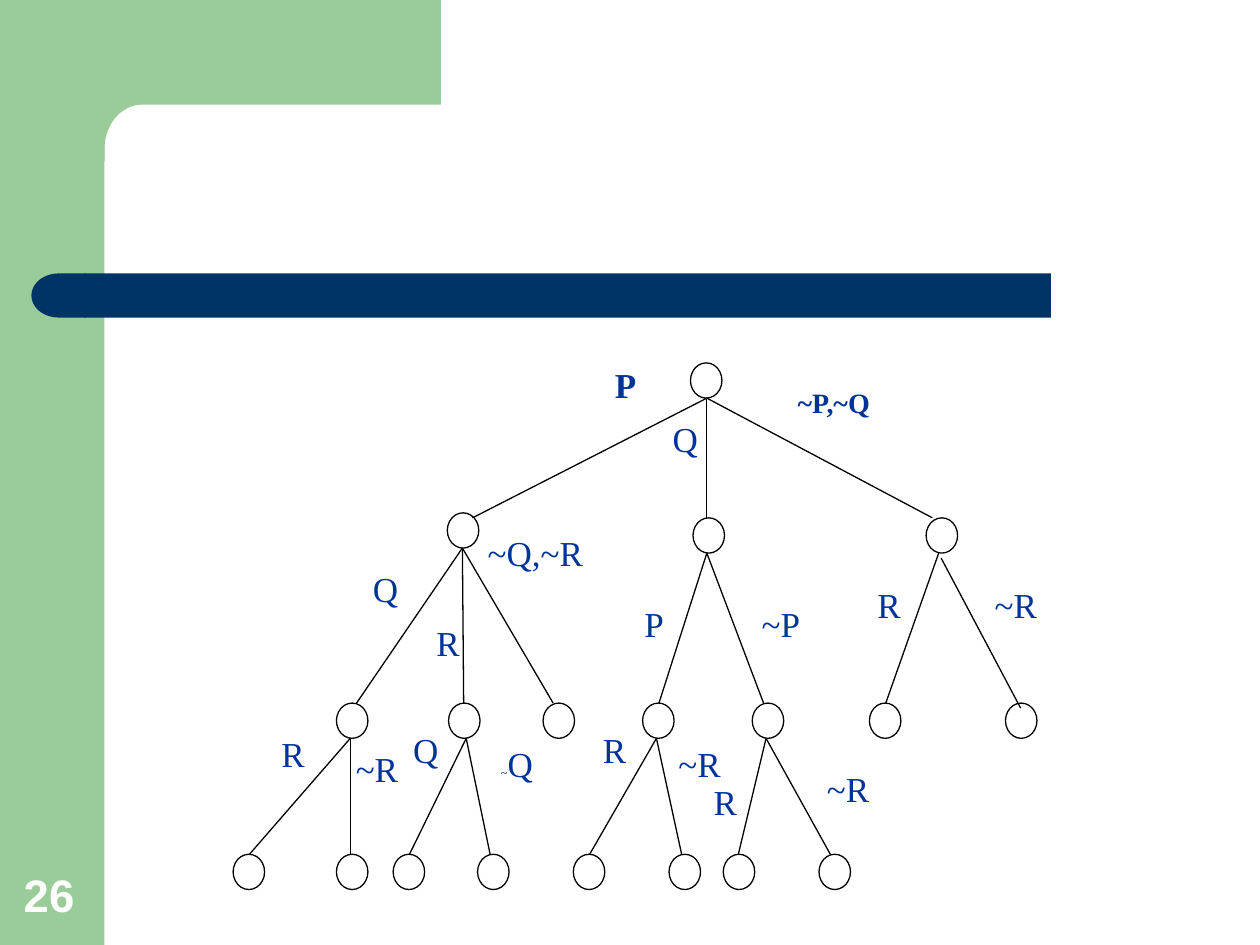
import math
from dataclasses import dataclass

from lxml import etree
from pptx import Presentation
from pptx.dml.color import RGBColor
from pptx.enum import shapes, text
from pptx.oxml import ns
from pptx.util import Inches, Pt


@dataclass(frozen=True)
class Theme:
    green: str = "99CC99"
    navy: str = "003366"
    label: str = "003399"
    white: str = "FFFFFF"
    black: str = "000000"
    sans: str = "Arial"
    serif: str = "Times New Roman"
    number: int = 26
    large: int = 20
    medium: int = 16
    tiny: int = 7
    stroke: float = 0.75


@dataclass(frozen=True)
class Box:
    left: float
    top: float
    width: float
    height: float

    def inset(self, column, row, columns, rows):
        return Box(self.left + column, self.top + row, columns, rows)

    def lengths(self):
        return [grid(n) for n in (self.left, self.top, self.width, self.height)]


THEME = Theme()
COLUMNS, ROWS = 1000, 750
FORM = shapes.MSO_SHAPE
NODE_SIZE = (25, 28)
LEAF_ROW, INNER_ROW = 390, 270
NODES = (
    [(363, 0), (170, 119), (365, 123), (550, 123)]
    + [(column, INNER_ROW) for column in (82, 171, 246, 325, 412, 505, 613)]
    + [(column, LEAF_ROW) for column in (0, 82, 127, 194, 270, 346, 389, 465)]
)
BRANCHES = [
    ((376, 28), 123, (190, 376, 555)),
    ((182, 147), INNER_ROW, (98, 183, 254)),
    ((376, 151), INNER_ROW, (338, 421)),
    ((560, 151), INNER_ROW, (518,)),
    ((562, 155), 274, (625,)),
    ((93, 298), LEAF_ROW, (13, 93)),
    ((185, 298), LEAF_ROW, (140, 204)),
    ((336, 298), LEAF_ROW, (283, 356)),
    ((423, 298), LEAF_ROW, (401, 474)),
]
NARROW, MIDDLE, WIDE = (21, 28), (37, 30), (82, 30)
LABELS = [
    ("~Q,~R", 202, 147, WIDE),
    ("~R", 94, 318, MIDDLE),
    ("R", 36, 306, NARROW),
    ("Q", 142, 303, NARROW),
    ("~R", 350, 314, MIDDLE),
    ("R", 291, 303, NARROW),
    ("~R", 468, 334, MIDDLE),
    ("R", 379, 344, NARROW),
    ("~R", 601, 188, MIDDLE),
    ("R", 509, 188, NARROW),
    ("~P", 413, 203, MIDDLE),
    ("P", 321, 203, NARROW),
    ("R", 143, 218, MIDDLE),
    ("Q", 110, 175, NARROW),
    ("Q", 332, 56, MIDDLE),
]


def grid(units):
    return Inches(units / 100)


def paint(shape, fill, line=None):
    shape.shadow.inherit = False
    shape.fill.solid()
    shape.fill.fore_color.rgb = RGBColor.from_string(fill)
    if line:
        shape.line.color.rgb = RGBColor.from_string(line)
        shape.line.width = Pt(THEME.stroke)
    else:
        shape.line.fill.background()


def add_form(page, form, box, fill, line=None):
    shape = page.shapes.add_shape(form, *box.lengths())
    paint(shape, fill, line)
    return shape


def add_span(para, words, size, font, color, bold=False):
    span = para.add_run()
    span.text = words
    span.font.size = Pt(size)
    span.font.name = font
    span.font.bold = bold
    span.font.color.rgb = RGBColor.from_string(color)


def add_edge(page, box, start, end):
    ends = [grid(n) for x, y in (start, end) for n in (box.left + x, box.top + y)]
    edge = page.shapes.add_connector(shapes.MSO_CONNECTOR.STRAIGHT, *ends)
    edge.line.color.rgb = RGBColor.from_string(THEME.black)
    edge.line.width = Pt(THEME.stroke)
    etree.SubElement(edge._element.spPr, ns.qn("a:effectLst"))


def add_label(page, box, spans, bold=False):
    shape = add_form(page, FORM.RECTANGLE, box, THEME.white, THEME.white)
    frame = shape.text_frame
    frame.margin_left = frame.margin_right = 0
    frame.margin_top = frame.margin_bottom = 0
    frame.vertical_anchor = text.MSO_ANCHOR.TOP
    frame.word_wrap = True
    para = frame.paragraphs[0]
    wide = box.width == WIDE[0]
    para.alignment = text.PP_ALIGN.LEFT if wide else text.PP_ALIGN.RIGHT
    para.line_spacing = 0.56
    para.space_before = Pt(spans[-1][1] * 0.625)
    settings = para._p.get_or_add_pPr()
    settings.set("marL", str(grid(38)))
    settings.set("indent", str(grid(-38)))
    for words, size in spans:
        add_span(para, words, size, THEME.serif, THEME.label, bold)


def add_corner(page, box):
    inner, floor = 33, 83
    reach, drop = 30, 35
    angles = [math.radians(90 * step / 12) for step in range(13)]
    curve = [
        (inner + reach * (1 - math.sin(a)), floor + drop * (1 - math.cos(a)))
        for a in angles
    ]
    outline = [(box.width, 0), (box.width, floor), *curve,
               (inner, box.height), (0, box.height)]
    points = [(grid(box.left + x), grid(box.top + y)) for x, y in outline]
    builder = page.shapes.build_freeform(grid(box.left), grid(box.top), scale=1.0)
    builder.add_line_segments(points, close=True)
    paint(builder.convert_to_shape(), THEME.green)


def add_frame(page, box):
    add_form(page, FORM.RECTANGLE, box.inset(0, 0, 83, box.height), THEME.green)
    add_corner(page, box.inset(50, 0, 300, 128))
    bar = add_form(page, FORM.ROUNDED_RECTANGLE, box.inset(67, 217, 767, 35), THEME.navy)
    bar.adjustments[0] = 0
    cap = add_form(page, FORM.FLOWCHART_DELAY, box.inset(25, 217, 43, 35), THEME.navy)
    cap._element.spPr.find(ns.qn("a:xfrm")).set("flipH", "1")


def add_page_number(page, box):
    frame = page.shapes.add_textbox(*box.lengths()).text_frame
    frame.word_wrap = True
    frame.vertical_anchor = text.MSO_ANCHOR.BOTTOM
    add_span(frame.paragraphs[0], "26", THEME.number, THEME.sans, THEME.white, True)


def add_tree(page, box):
    for column, row in NODES:
        add_form(page, FORM.OVAL, box.inset(column, row, *NODE_SIZE),
                 THEME.white, THEME.black)
    for start, row, columns in BRANCHES:
        for column in columns:
            add_edge(page, box, start, (column, row))
    for words, column, row, size in LABELS:
        add_label(page, box.inset(column, row, *size), [(words, THEME.large)])
    add_label(page, box.inset(201, 314, *MIDDLE),
              [("~", THEME.tiny), ("Q", THEME.large)])
    add_label(page, box.inset(448, 28, *WIDE), [("~P,~Q", THEME.medium)], True)
    add_label(page, box.inset(299, 13, *NARROW), [("P", THEME.large)], True)


def main():
    deck = Presentation()
    deck.slide_width, deck.slide_height = grid(COLUMNS), grid(ROWS)
    page = deck.slides.add_slide(deck.slide_layouts[6])
    add_frame(page, Box(0, 0, COLUMNS, ROWS))
    add_page_number(page, Box(9, 683, 64, 53))
    add_tree(page, Box(185, 288, 638, 418))
    deck.save("out.pptx")


if __name__ == "__main__":
    main()
